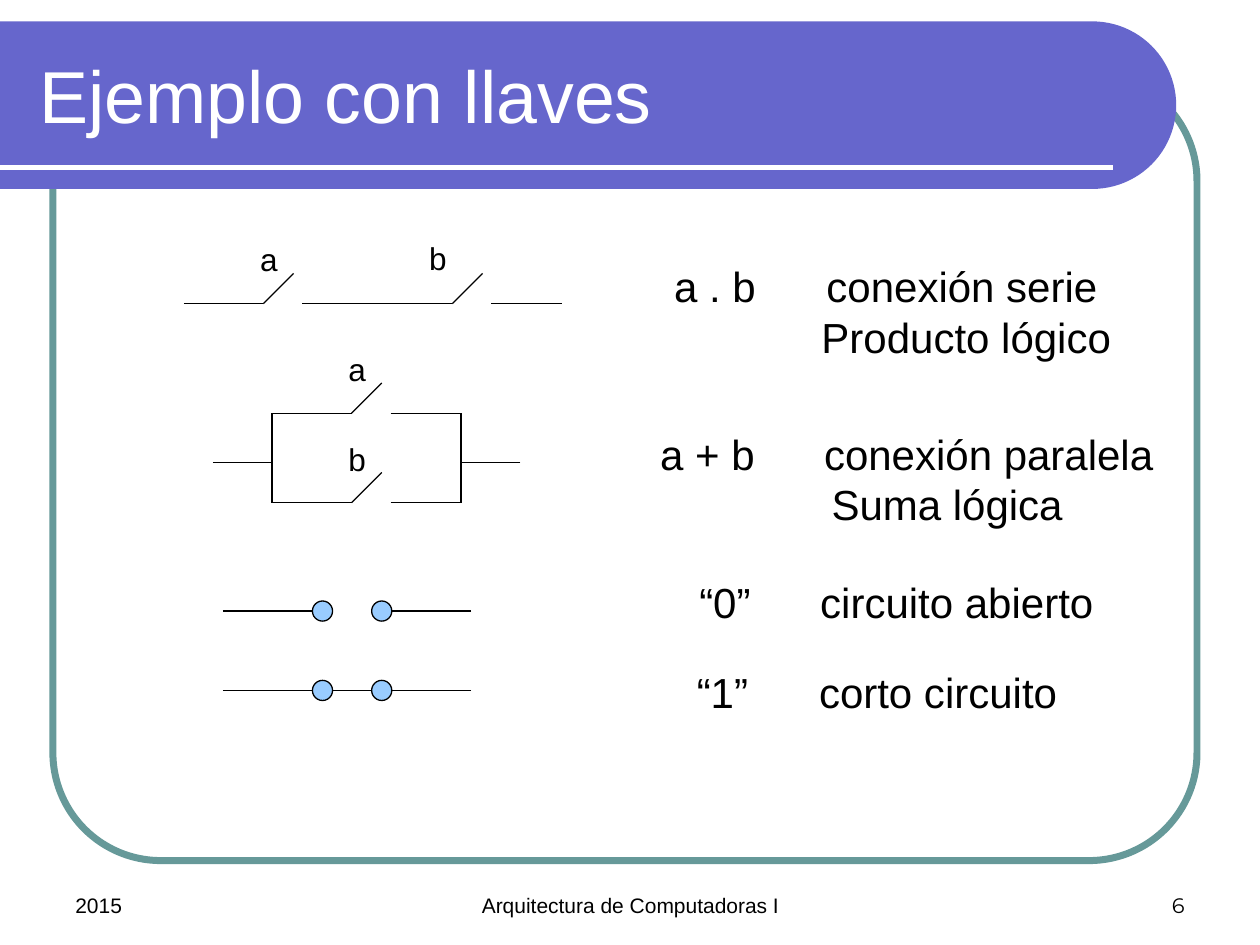
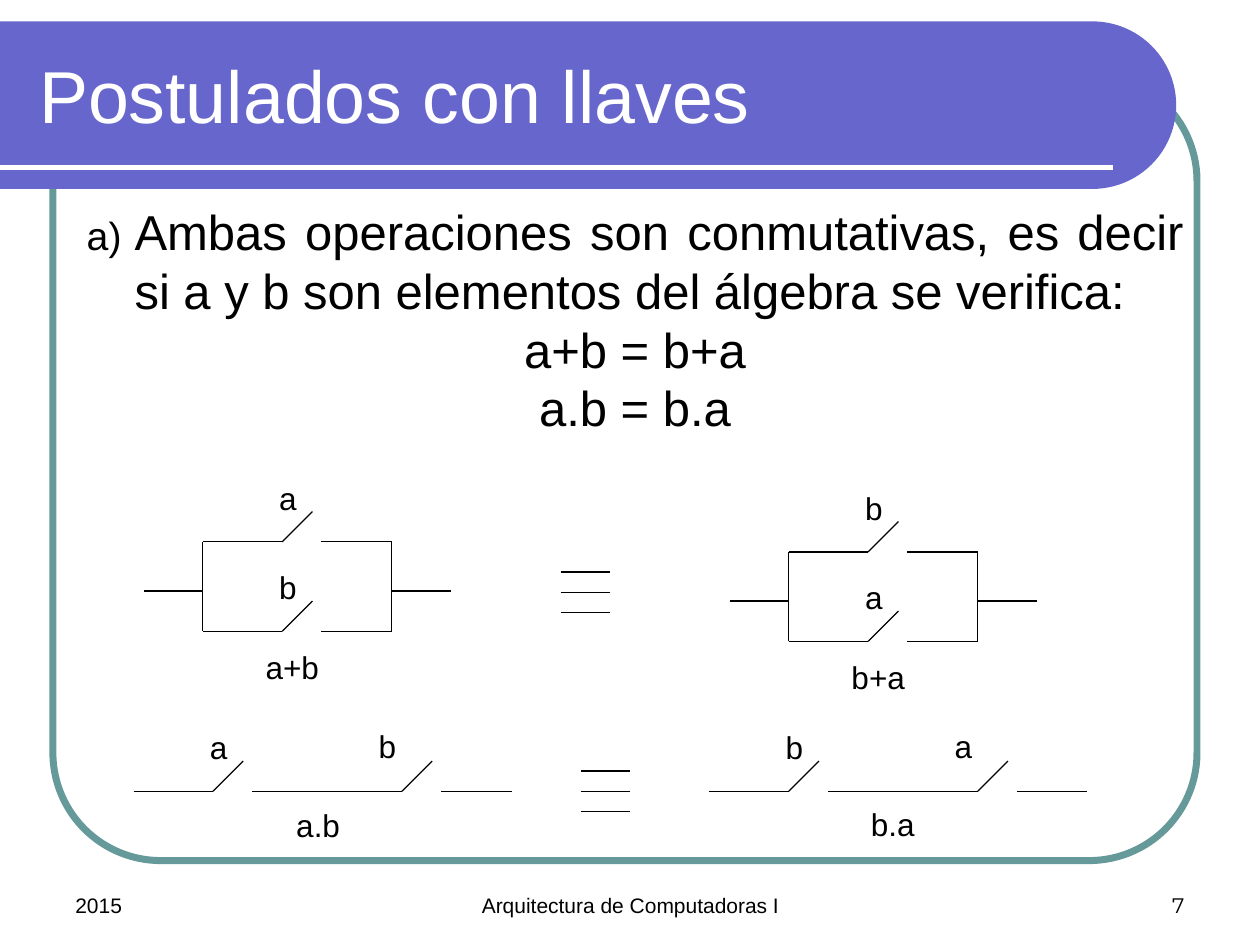
from dataclasses import dataclass
from math import cos, pi, sin
from typing import NamedTuple

from lxml.etree import SubElement
from pptx import Presentation
from pptx.dml.color import RGBColor
from pptx.enum.shapes import MSO_CONNECTOR, MSO_SHAPE
from pptx.enum.text import MSO_ANCHOR, MSO_AUTO_SIZE, PP_ALIGN
from pptx.oxml.ns import qn
from pptx.util import Pt

"""Build two slides on switch circuits, with 100 px to the inch."""

PX = 9144
INK = {"black": "000000", "white": "FFFFFF", "band": "6666CC",
       "frame": "669999", "dot": "99CCFF"}
LEFT, MID, RIGHT, FULL = PP_ALIGN.LEFT, PP_ALIGN.CENTER, PP_ALIGN.RIGHT, PP_ALIGN.JUSTIFY


class Box(NamedTuple):
    x: int
    y: int
    w: int
    h: int

    def emu(self) -> list[int]:
        return [side * PX for side in self]


@dataclass
class Style:
    size: int
    align: PP_ALIGN = MID
    name: str = "Arial"
    ink: str = "black"


@dataclass
class Label:
    text: str
    box: Box
    style: Style
    anchor: MSO_ANCHOR = MSO_ANCHOR.TOP
    wrap: bool = True
    inset: int = 10


@dataclass
class Term:
    sign: str
    lines: list[str]
    box: Box
    inset: int
    stops: list[int]


TITLE = Style(42, LEFT, ink="white")
SMALL = Style(18)
TERM = Style(24, LEFT)
BODY = Style(28)

TERMS = [
    Term("a . b", ["conexión serie", "Producto lógico"], Box(500, 202, 410, 90), 35, [121, 117]),
    Term("a + b", ["conexión paralela", "Suma lógica"], Box(508, 335, 425, 90), 16, [130, 136]),
    Term("“0”", ["circuito abierto"], Box(539, 453, 347, 50), 16, [96]),
    Term("“1”", ["corto circuito"], Box(524, 524, 347, 50), 29, [97]),
]


def rgb(ink: str) -> RGBColor:
    return RGBColor.from_string(INK[ink])


def dress(par, style: Style) -> None:
    values = {"size": Pt(style.size), "name": style.name, "bold": False}
    for key, value in values.items():
        setattr(par.font, key, value)
    par.font.color.rgb = rgb(style.ink)
    par.alignment = style.align


def set_frame(frame, anchor: MSO_ANCHOR, wrap: bool = True, inset: int = 10) -> None:
    values = {"word_wrap": wrap, "auto_size": MSO_AUTO_SIZE.NONE, "vertical_anchor": anchor,
              "margin_left": inset * PX, "margin_right": 10 * PX,
              "margin_top": 5 * PX, "margin_bottom": 5 * PX}
    for key, value in values.items():
        setattr(frame, key, value)


def write(slide, label: Label):
    frame = slide.shapes.add_textbox(*label.box.emu()).text_frame
    set_frame(frame, label.anchor, label.wrap, label.inset)
    for row, line in enumerate(label.text.split("\n")):
        par = frame.add_paragraph() if row else frame.paragraphs[0]
        par.text = line
        dress(par, label.style)
    return frame


def wire(slide, x1: int, y1: int, x2: int, y2: int, ink: str = "black",
         width: float = 0.75) -> None:
    ends = [side * PX for side in (x1, y1, x2, y2)]
    line = slide.shapes.add_connector(MSO_CONNECTOR.STRAIGHT, *ends)
    line.line.color.rgb = rgb(ink)
    line.line.width = Pt(width)
    SubElement(line.element.spPr, qn("a:effectLst"))


def draw_band(slide) -> None:
    frame = slide.shapes.add_shape(MSO_SHAPE.ROUNDED_RECTANGLE, *Box(42, 58, 908, 625).emu())
    frame.adjustments[0] = 0.137
    frame.shadow.inherit = False
    frame.fill.background()
    frame.line.color.rgb = rgb("frame")
    frame.line.width = Pt(4)

    top, base, turn, steps = 17, 150, 867, 48
    reach = (base - top) / 2
    arc = [(turn + reach * sin(pi * step / steps),
            top + reach - reach * cos(pi * step / steps)) for step in range(steps + 1)]
    pen = slide.shapes.build_freeform(0, top * PX, scale=1)
    pen.add_line_segments([(round(x * PX), round(y * PX)) for x, y in arc] + [(0, base * PX)])
    band = pen.convert_to_shape()
    band.shadow.inherit = False
    band.fill.solid()
    band.fill.fore_color.rgb = rgb("band")
    band.line.fill.background()
    wire(slide, 0, 133, 883, 133, "white", 3)


def start(deck, title: str, number: int):
    slide = deck.slides.add_slide(deck.slide_layouts[5])
    draw_band(slide)
    head = slide.shapes.title
    slide.shapes.element.append(head.element)
    for key, value in zip(("left", "top", "width", "height"), Box(21, 25, 683, 100).emu()):
        setattr(head, key, value)
    head.text_frame.text = title
    set_frame(head.text_frame, MSO_ANCHOR.MIDDLE)
    dress(head.text_frame.paragraphs[0], TITLE)
    feet = [("2015", Box(50, 683, 233, 50), Style(12, LEFT)),
            ("Arquitectura de Computadoras I", Box(342, 683, 317, 50), Style(12)),
            (str(number), Box(717, 683, 233, 50), Style(12, RIGHT, "Montserrat"))]
    for text, box, style in feet:
        write(slide, Label(text, box, style, MSO_ANCHOR.BOTTOM))
    return slide


def switch(slide, x: int, y: int, name: str, shift: int = 40, rise: int = 55) -> None:
    wire(slide, x, y, x + 63, y)
    wire(slide, x + 63, y, x + 87, y - 24)
    wire(slide, x + 94, y, x + 150, y)
    write(slide, Label(name, Box(x + shift, y - rise, 55, 40), SMALL))


def series(slide, x: int, y: int, names: str) -> None:
    switch(slide, x, y, names[0])
    switch(slide, x + 150, y, names[1], 24, 56)


def fork(slide, x: int, y: int, names: str) -> None:
    for row, name in enumerate(names):
        switch(slide, x, y + 71 * row, name)
    for side, lead in ((x, x - 47), (x + 150, x + 197)):
        wire(slide, side, y, side, y + 71)
        wire(slide, lead, y + 39, side, y + 39)


def contact(slide, y: int, closed: bool) -> None:
    if closed:
        wire(slide, 256, y, 303, y)
    for dot, near, far in ((248, 248, 177), (295, 303, 374)):
        wire(slide, far, y, near, y)
        knob = slide.shapes.add_shape(MSO_SHAPE.OVAL, *Box(dot, y - 8, 16, 16).emu())
        knob.shadow.inherit = False
        knob.fill.solid()
        knob.fill.fore_color.rgb = rgb("dot")
        knob.line.color.rgb = rgb("black")
        knob.line.width = Pt(0.75)


def same(slide, x: int, y: int) -> None:
    for drop in (0, 16, 32):
        wire(slide, x, y + drop, x + 39, y + drop)


def define(slide, term: Term) -> None:
    text = "\n".join([f"{term.sign}\t{term.lines[0]}", *term.lines[1:]])
    frame = write(slide, Label(text, term.box, TERM, inset=term.inset))
    first, *rest = frame.paragraphs
    tabs = SubElement(first._p.get_or_add_pPr(), qn("a:tabLst"))
    SubElement(tabs, qn("a:tab"), pos=str(term.stops[0] * PX), algn="l")
    props = first._p.pPr
    props.insert(0, tabs)
    for par, stop in zip(rest, term.stops[1:]):
        par._p.get_or_add_pPr().set("marL", str(stop * PX))


def number(par) -> None:
    props = par._p.get_or_add_pPr()
    props.set("marL", str(38 * PX))
    props.set("indent", str(-38 * PX))
    tint = SubElement(props, qn("a:buClr"))
    SubElement(tint, qn("a:srgbClr"), val=INK["black"])
    SubElement(props, qn("a:buSzPct"), val="80000")
    SubElement(props, qn("a:buFont"), typeface="Arial")
    mark = SubElement(props, qn("a:buAutoNum"), type="alphaLcParenR")
    for part in (mark, *props.findall(qn("a:buFont")), *props.findall(qn("a:buSzPct")), tint):
        props.insert(0, part)


def keys(deck) -> None:
    slide = start(deck, "Ejemplo con llaves", 6)
    series(slide, 146, 241, "ab")
    fork(slide, 216, 328, "ab")
    contact(slide, 485, False)
    contact(slide, 548, True)
    for term in TERMS:
        define(slide, term)


def laws(deck) -> None:
    slide = start(deck, "Postulados con llaves", 7)
    text = ("Ambas operaciones son conmutativas, es decir si a y b son elementos "
            "del álgebra se verifica:\na+b = b+a\na.b = b.a")
    lead = write(slide, Label(text, Box(59, 155, 890, 197), BODY)).paragraphs[0]
    lead.alignment = FULL
    number(lead)
    fork(slide, 161, 430, "ab")
    fork(slide, 626, 438, "ba")
    same(slide, 445, 454)
    series(slide, 106, 628, "ab")
    series(slide, 563, 628, "ba")
    same(slide, 461, 612)
    for name, box in (("a+b", Box(201, 509, 62, 40)), ("b+a", Box(666, 517, 62, 40)),
                      ("a.b", Box(225, 635, 55, 40)), ("b.a", Box(681, 634, 55, 40))):
        write(slide, Label(name, box, SMALL, wrap=False))


def main() -> None:
    deck = Presentation()
    deck.slide_width, deck.slide_height = 1000 * PX, 750 * PX
    keys(deck)
    laws(deck)
    deck.save("out.pptx")


if __name__ == "__main__":
    main()
